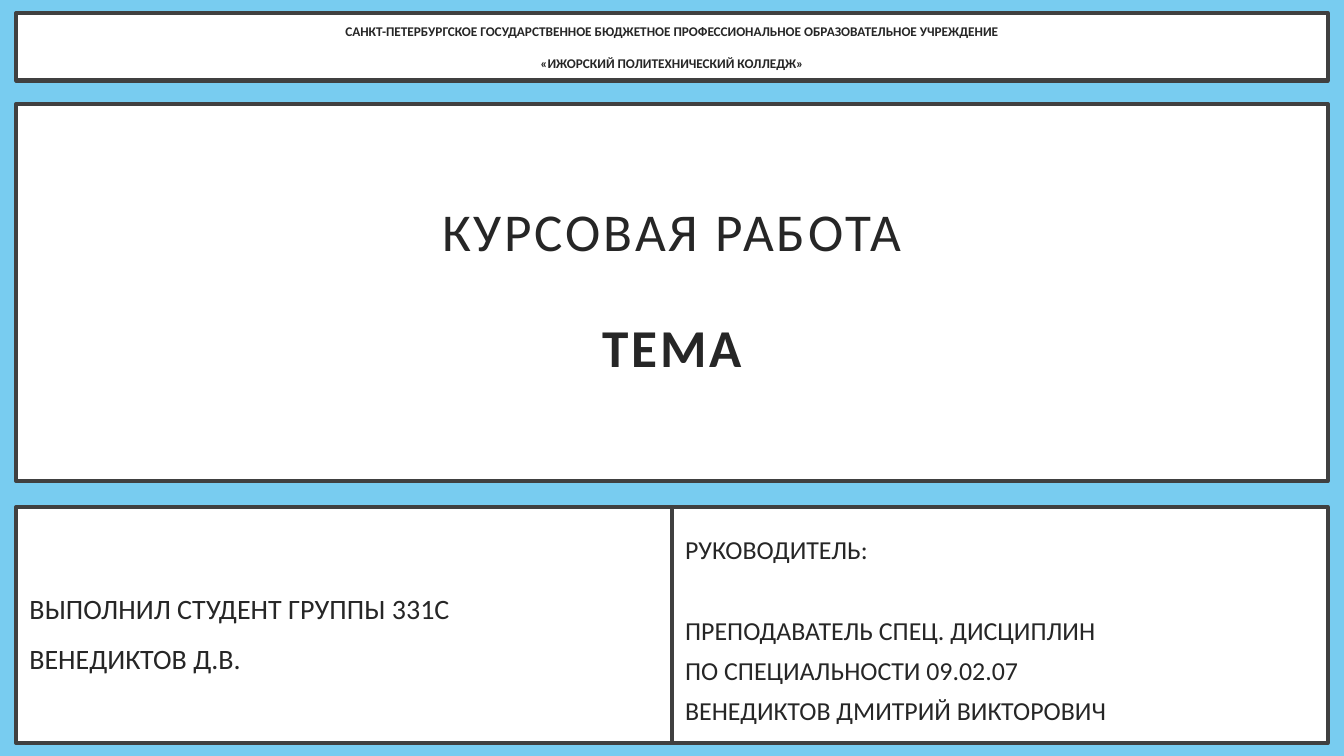
from pptx import Presentation
from pptx.dml.color import RGBColor
from pptx.enum.shapes import MSO_SHAPE
from pptx.enum.text import MSO_ANCHOR, PP_ALIGN
from pptx.util import Cm, Pt

SLIDE_WIDTH, SLIDE_HEIGHT = 33.87, 19.05
MARGIN = 0.41
PANEL_WIDTH = SLIDE_WIDTH - 2 * MARGIN
HALF_WIDTH = PANEL_WIDTH / 2
BOTTOM_TOP, BOTTOM_HEIGHT = 12.78, 5.94
BACKGROUND, PANEL, BORDER, INK = "78CCF0", "FFFFFF", "404040", "262626"

TITLE = {
    "box": (MARGIN, 2.62, PANEL_WIDTH, 9.5), "insets": (0.76, 0.5),
    "align": PP_ALIGN.CENTER, "size": 38, "line": 0.9, "tracking": 2,
    "lines": [("КУРСОВАЯ РАБОТА", False, 0), ("ТЕМА", True, 41.7)],
}
COLLEGE = {
    "box": (MARGIN, 0.33, PANEL_WIDTH, 1.7), "insets": (0.76, 0.1),
    "align": PP_ALIGN.CENTER, "size": 9.5, "line": 1.0, "tracking": 0,
    "lines": [
        ("САНКТ-ПЕТЕРБУРГСКОЕ ГОСУДАРСТВЕННОЕ БЮДЖЕТНОЕ "
         "ПРОФЕССИОНАЛЬНОЕ ОБРАЗОВАТЕЛЬНОЕ УЧРЕЖДЕНИЕ", True, 0),
        ("«ИЖОРСКИЙ ПОЛИТЕХНИЧЕСКИЙ КОЛЛЕДЖ»", True, 11.4),
    ],
}
SUPERVISOR = {
    "box": (MARGIN + HALF_WIDTH, BOTTOM_TOP, HALF_WIDTH, BOTTOM_HEIGHT),
    "insets": (0.33, 0.33),
    "align": PP_ALIGN.LEFT, "size": 18.5, "line": 1.3, "tracking": 0,
    "lines": [
        ("РУКОВОДИТЕЛЬ:", False, 0),
        ("ПРЕПОДАВАТЕЛЬ СПЕЦ. ДИСЦИПЛИН", False, 29),
        ("ПО СПЕЦИАЛЬНОСТИ 09.02.07", False, 0),
        ("ВЕНЕДИКТОВ ДМИТРИЙ ВИКТОРОВИЧ", False, 0),
    ],
}
STUDENT = {
    "box": (MARGIN, BOTTOM_TOP, HALF_WIDTH, BOTTOM_HEIGHT),
    "insets": (0.33, 0.33),
    "align": PP_ALIGN.LEFT, "size": 20, "line": 1.5, "tracking": 0,
    "lines": [
        ("ВЫПОЛНИЛ СТУДЕНТ ГРУППЫ 331С", False, 0),
        ("ВЕНЕДИКТОВ Д.В.", False, 0),
    ],
}


def paint(color_format, value):
    color_format.rgb = RGBColor.from_string(value)


def add_panel(slide, panel):
    shape = slide.shapes.add_shape(MSO_SHAPE.RECTANGLE, *map(Cm, panel["box"]))
    shape.shadow.inherit = False
    shape.fill.solid()
    paint(shape.fill.fore_color, PANEL)
    paint(shape.line.color, BORDER)
    shape.line.width = Pt(3)

    frame = shape.text_frame
    frame.word_wrap = True
    frame.vertical_anchor = MSO_ANCHOR.MIDDLE
    side, upright = map(Cm, panel["insets"])
    frame.margin_left = frame.margin_right = side
    frame.margin_top = frame.margin_bottom = upright

    for index, (text, bold, space_before) in enumerate(panel["lines"]):
        paragraph = frame.add_paragraph() if index else frame.paragraphs[0]
        paragraph.alignment = panel["align"]
        paragraph.line_spacing = panel["line"]
        paragraph.space_before = Pt(space_before)
        run = paragraph.add_run()
        run.text = text
        run.font.name = "Calibri"
        run.font.size = Pt(panel["size"])
        run.font.bold = bold
        paint(run.font.color, INK)
        if panel["tracking"]:
            run._r.get_or_add_rPr().set("spc", str(panel["tracking"] * 100))


def main():
    presentation = Presentation()
    presentation.slide_width = Cm(SLIDE_WIDTH)
    presentation.slide_height = Cm(SLIDE_HEIGHT)
    slide = presentation.slides.add_slide(presentation.slide_layouts[6])
    slide.background.fill.solid()
    paint(slide.background.fill.fore_color, BACKGROUND)
    for panel in (TITLE, COLLEGE, SUPERVISOR, STUDENT):
        add_panel(slide, panel)
    presentation.save("out.pptx")


if __name__ == "__main__":
    main()
